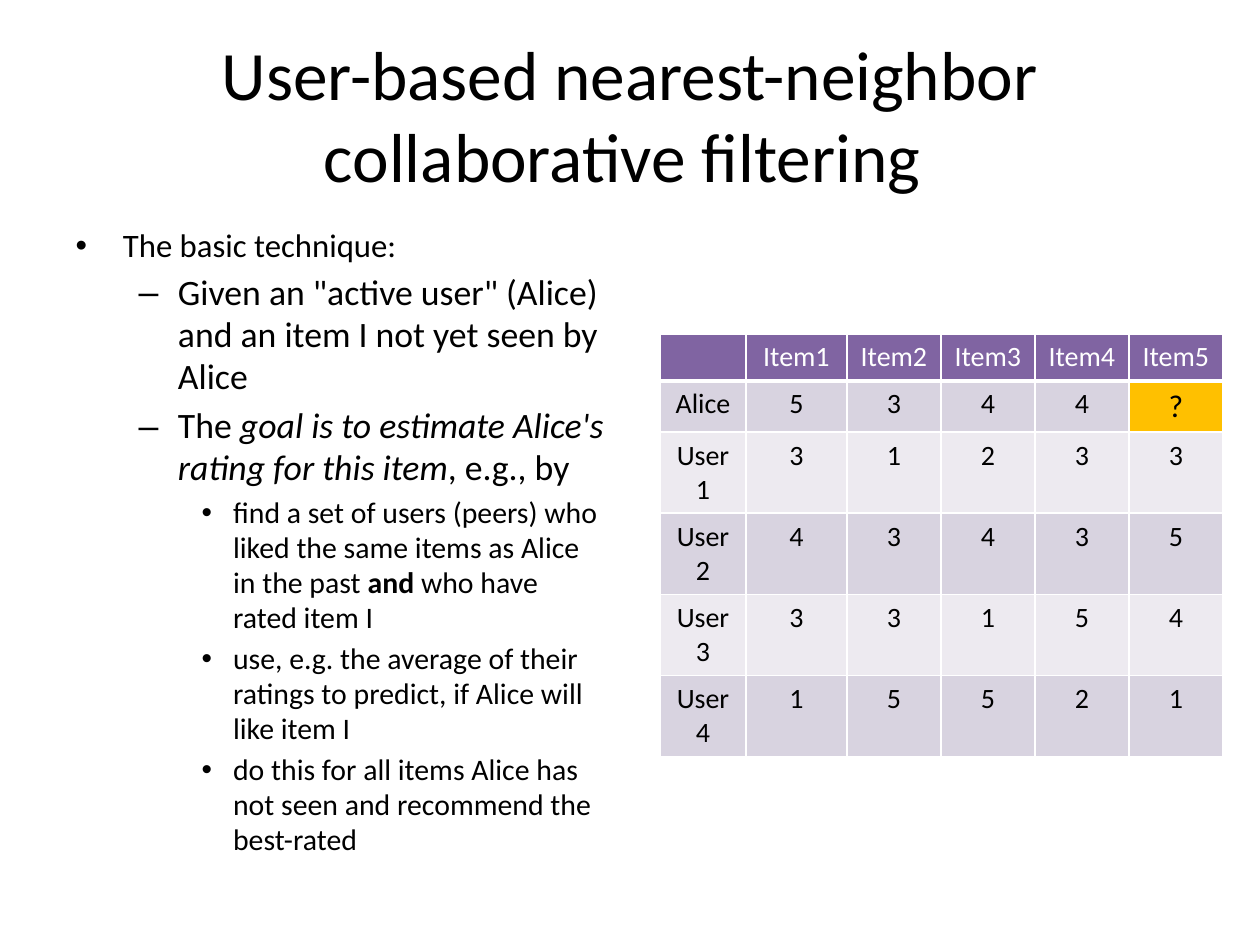
from dataclasses import dataclass

from lxml.etree import SubElement
from pptx import Presentation
from pptx.dml.color import RGBColor
from pptx.enum.text import MSO_ANCHOR, MSO_AUTO_SIZE, PP_ALIGN
from pptx.oxml.ns import qn
from pptx.util import Emu, Pt

FONT = "Calibri"
LINE_SPACING = 0.98
COLORS = {
    "text": "000000",
    "white": "FFFFFF",
    "header": "8064A2",
    "odd": "D8D3E0",
    "even": "EDEAF0",
    "unknown": "FFC000",
}


@dataclass(frozen=True)
class Box:
    left: int
    top: int
    width: int
    height: int


@dataclass(frozen=True)
class Span:
    text: str
    bold: bool = False
    italic: bool = False


@dataclass(frozen=True)
class Point:
    level: int
    spans: tuple[Span, ...]


TITLE_BOX = Box(63, 38, 1134, 158)
BODY_BOX = Box(63, 220, 557, 624)
TABLE_BOX = Box(660, 334, 563, 422)
COLUMN_WIDTHS = [86, 101] + [94] * 4
ROW_HEIGHTS = [47, 51] + [81] * 4
LEVEL_SIZES = [18.7, 20.4, 17]

POINTS = [
    Point(0, (Span("The basic technique:"),)),
    Point(1, (Span('Given an "active user" (Alice) and an item I not yet seen by Alice'),)),
    Point(1, (Span("The "),
              Span("goal is to estimate Alice's rating for this item", italic=True),
              Span(", e.g., by"))),
    Point(2, (Span("find a set of users (peers) who liked the same items as Alice in the past "),
              Span("and ", bold=True),
              Span("who have rated item I"))),
    Point(2, (Span("use, e.g. the average of their ratings to predict, if Alice will like item I"),)),
    Point(2, (Span("do this for all items Alice has not seen and recommend the best-rated"),)),
]

RATINGS = [
    ["", "Item1", "Item2", "Item3", "Item4", "Item5"],
    ["Alice", "5", "3", "4", "4", "?"],
    ["User1", "3", "1", "2", "3", "3"],
    ["User2", "4", "3", "4", "3", "5"],
    ["User3", "3", "3", "1", "5", "4"],
    ["User4", "1", "5", "5", "2", "1"],
]


def px(length: int) -> Emu:
    return Emu(round(length * 914400 / 126))


def color(name: str) -> RGBColor:
    return RGBColor.from_string(COLORS[name])


def place(shape, box: Box) -> None:
    shape.left, shape.top = px(box.left), px(box.top)
    shape.width, shape.height = px(box.width), px(box.height)


def style(para, size: float, color_name: str = "text") -> None:
    para.font.name = FONT
    para.font.size = Pt(size)
    para.font.color.rgb = color(color_name)


def add_title(page, text: str) -> None:
    title = page.shapes.title
    place(title, TITLE_BOX)
    frame = title.text_frame
    frame.text = text
    frame.auto_size = MSO_AUTO_SIZE.NONE
    frame.vertical_anchor = MSO_ANCHOR.MIDDLE
    para = frame.paragraphs[0]
    para.alignment = PP_ALIGN.CENTER
    para.line_spacing = LINE_SPACING
    style(para, 39.6)


def add_points(page, points: list[Point]) -> None:
    # Bullets, indents and paragraph gaps come from the template's levels
    body = page.placeholders[1]
    place(body, BODY_BOX)
    frame = body.text_frame
    frame.auto_size = MSO_AUTO_SIZE.NONE
    for index, point in enumerate(points):
        para = frame.add_paragraph() if index else frame.paragraphs[0]
        para.level = point.level
        para.line_spacing = LINE_SPACING
        style(para, LEVEL_SIZES[point.level])
        for span in point.spans:
            run = para.add_run()
            run.text = span.text
            if span.bold:
                run.font.bold = True
            if span.italic:
                run.font.italic = True


def add_borders(cell, bottom_width: int) -> None:
    properties = cell._tc.get_or_add_tcPr()
    widths = {"a:lnL": 1, "a:lnR": 1, "a:lnT": 1, "a:lnB": bottom_width}
    for position, (tag, width) in enumerate(widths.items()):
        line = SubElement(properties, qn(tag), w=str(Pt(width)))
        fill = SubElement(line, qn("a:solidFill"))
        SubElement(fill, qn("a:srgbClr"), val=COLORS["white"])
        properties.insert(position, line)  # borders precede the cell fill


def add_ratings(page, ratings: list[list[str]]) -> None:
    frame = page.shapes.add_table(
        len(ratings), len(ratings[0]),
        px(TABLE_BOX.left), px(TABLE_BOX.top), px(TABLE_BOX.width), px(TABLE_BOX.height))
    table = frame.table
    for column, width in zip(table.columns, COLUMN_WIDTHS):
        column.width = px(width)
    for row, height in zip(table.rows, ROW_HEIGHTS):
        row.height = px(height)
    for row_index, values in enumerate(ratings):
        header = row_index == 0
        row_fill = "header" if header else ("odd" if row_index % 2 else "even")
        for column_index, value in enumerate(values):
            unknown = value == "?"
            cell = table.cell(row_index, column_index)
            cell.text = value
            cell.fill.solid()
            cell.fill.fore_color.rgb = color("unknown" if unknown else row_fill)
            para = cell.text_frame.paragraphs[0]
            para.alignment = PP_ALIGN.CENTER
            para.font.bold = False
            style(para, 18 if unknown else 16, "white" if header else "text")
            add_borders(cell, 3 if header else 1)


def main() -> None:
    deck = Presentation()
    deck.slide_width, deck.slide_height = px(1260), px(945)
    page = deck.slides.add_slide(deck.slide_layouts[1])
    add_title(page, "User-based nearest-neighbor collaborative filtering ")
    add_points(page, POINTS)
    add_ratings(page, RATINGS)
    deck.save("out.pptx")


if __name__ == "__main__":
    main()
